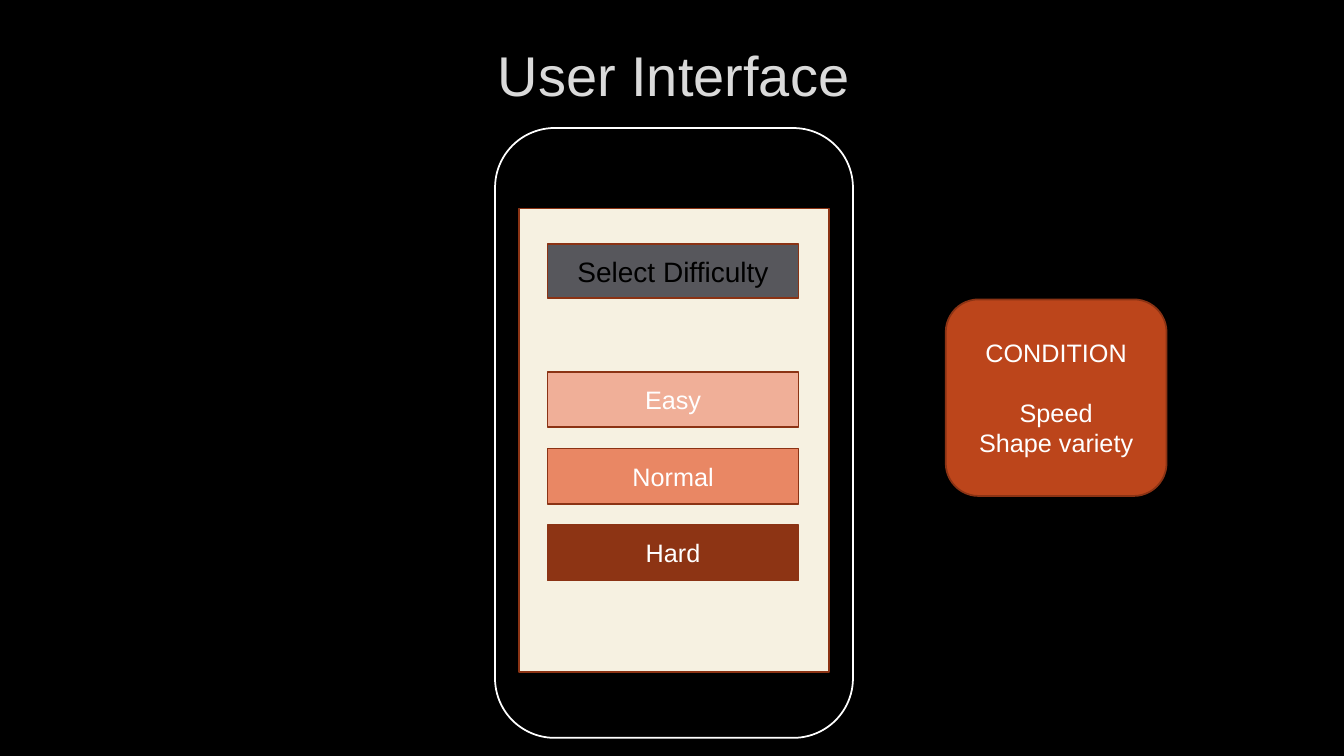
"""Build the User Interface slide with a phone mock-up and its condition box."""
from pptx import Presentation
from pptx.dml.color import RGBColor
from pptx.enum.shapes import MSO_SHAPE
from pptx.enum.text import MSO_ANCHOR, PP_ALIGN
from pptx.util import Inches, Pt


def rgb(code):
    return RGBColor.from_string(code)


def add_block(kind, box, fill, line, lines=(), size=18, color="FFFFFF"):
    block = slide.shapes.add_shape(kind, *[Inches(v) for v in box])
    block.shadow.inherit = False
    block.fill.solid()
    block.fill.fore_color.rgb = rgb(fill)
    block.line.color.rgb = rgb(line)
    block.line.width = Pt(1.25)
    frame = block.text_frame
    frame.word_wrap = True
    frame.vertical_anchor = MSO_ANCHOR.MIDDLE
    for i, words in enumerate(lines):
        paragraph = frame.paragraphs[0] if i == 0 else frame.add_paragraph()
        paragraph.text = words
        paragraph.alignment = PP_ALIGN.CENTER
        paragraph.font.name = "Arial"
        paragraph.font.size = Pt(size)
        paragraph.font.color.rgb = rgb(color)
    return block


prs = Presentation()
prs.slide_width = Inches(13.33)
prs.slide_height = Inches(7.5)
slide = prs.slides.add_slide(prs.slide_layouts[6])
slide.background.fill.solid()
slide.background.fill.fore_color.rgb = rgb("000000")

title = slide.shapes.add_textbox(Inches(1.02), Inches(0.21), Inches(11.32), Inches(1.06))
title.text_frame.word_wrap = True
title.text_frame.vertical_anchor = MSO_ANCHOR.MIDDLE
heading = title.text_frame.paragraphs[0]
heading.text = "User Interface"
heading.alignment = PP_ALIGN.CENTER
heading.font.name = "Arial"
heading.font.size = Pt(40)
heading.font.color.rgb = rgb("DADADA")

RUST = "8B3314"
add_block(MSO_SHAPE.ROUNDED_RECTANGLE, (4.91, 1.27, 3.55, 6.05), "000000", "FFFFFF")
add_block(MSO_SHAPE.RECTANGLE, (5.15, 2.07, 3.07, 4.6), "F6F1E1", RUST)
add_block(MSO_SHAPE.RECTANGLE, (5.43, 2.42, 2.49, 0.54), "57575C", RUST,
          ["Select Difficulty"], 20, "000000")

levels = [("Easy", "F0AF98"), ("Normal", "E98764"), ("Hard", "8D3414")]
for i, (level, fill) in enumerate(levels):
    add_block(MSO_SHAPE.RECTANGLE, (5.43, 3.69 + 0.76 * i, 2.49, 0.55), fill, RUST, [level])

condition = add_block(MSO_SHAPE.FLOWCHART_ALTERNATE_PROCESS, (9.38, 2.97, 2.19, 1.95),
                      "BC451B", RUST, ["CONDITION", "Speed", "Shape variety"])
condition.text_frame.paragraphs[1].space_before = Pt(21)

prs.save("out.pptx")
